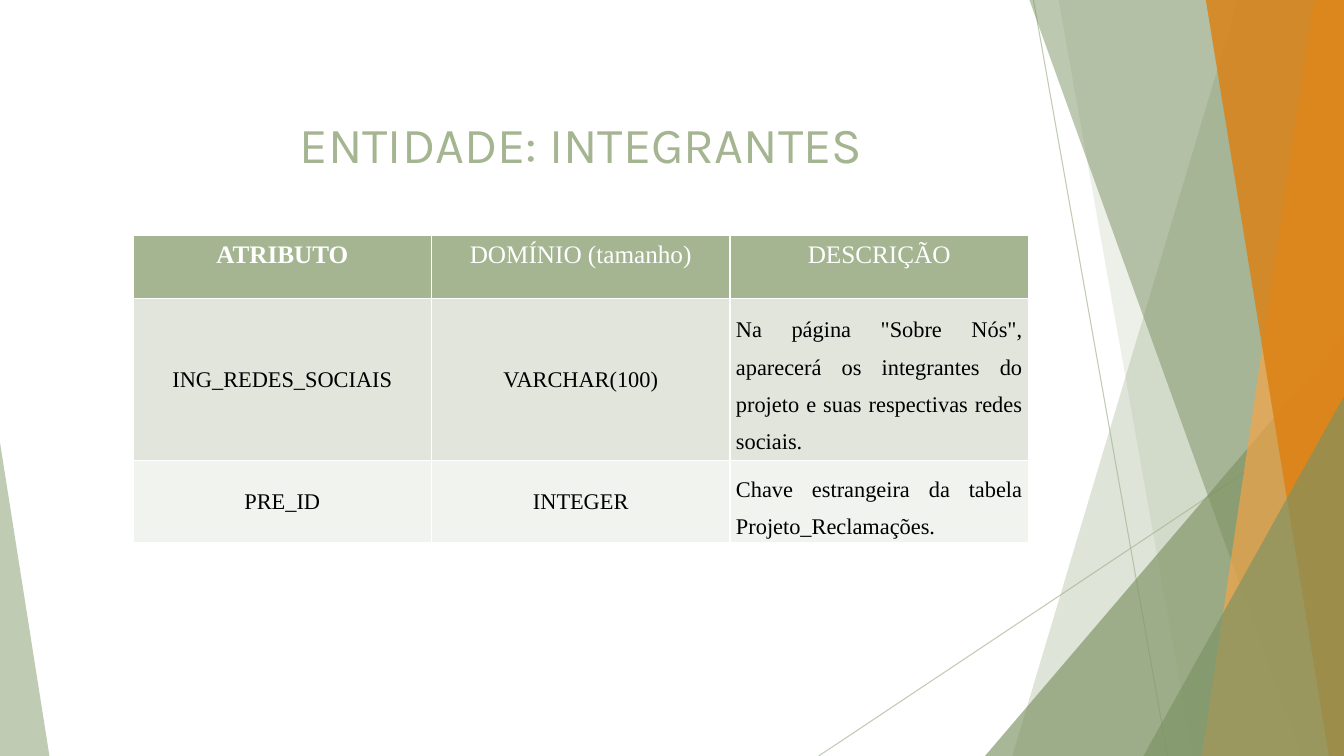
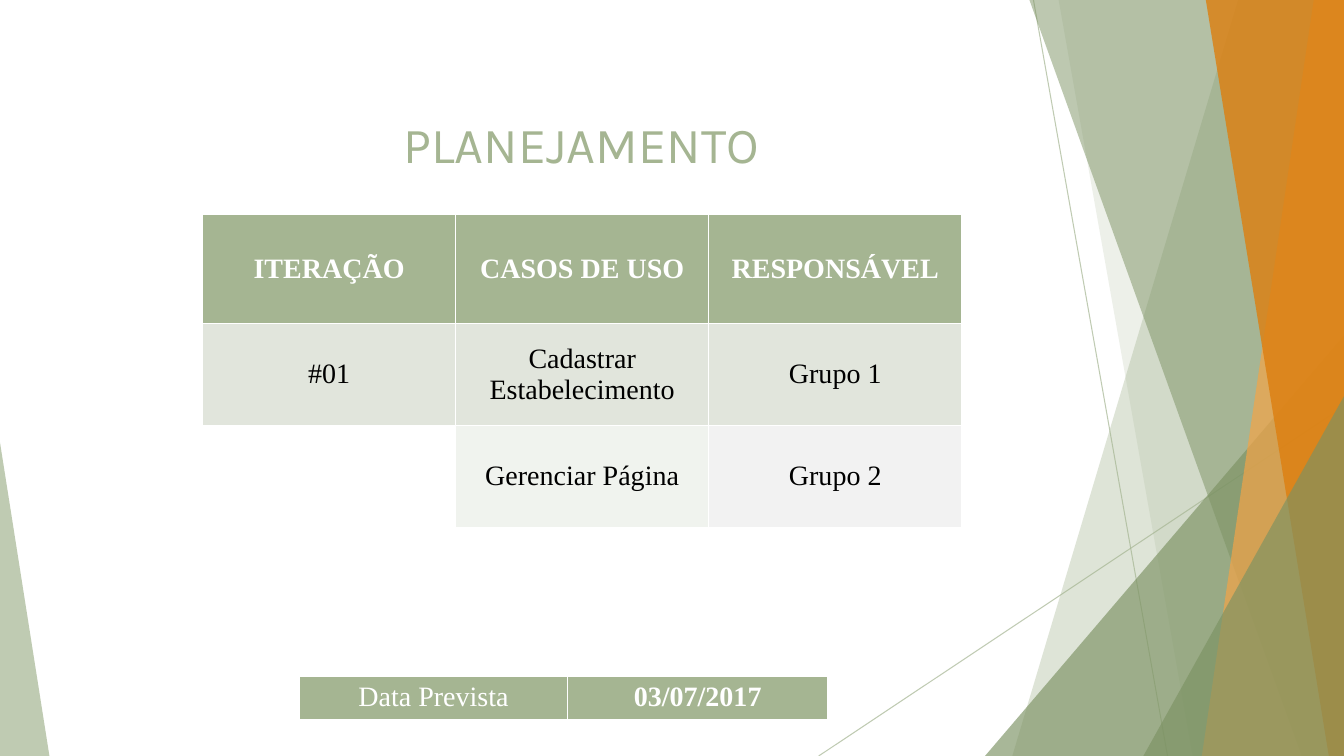
from lxml import etree
from pptx import Presentation
from pptx.dml.color import RGBColor
from pptx.enum.shapes import MSO_CONNECTOR, MSO_SHAPE
from pptx.enum.text import MSO_ANCHOR as Anchor, PP_ALIGN as Align
from pptx.oxml.ns import qn
from pptx.util import Inches, Pt

SAGE = RGBColor(0xA5, 0xB5, 0x92)
MOSS = RGBColor(0x7C, 0x92, 0x63)
AMBER = RGBColor(0xF3, 0xA4, 0x47)
ORANGE = RGBColor(0xDD, 0x7E, 0x0E)
WHITE = RGBColor(0xFF, 0xFF, 0xFF)
BLACK = RGBColor(0, 0, 0)
BAND_DARK = RGBColor(0xE1, 0xE5, 0xDC)
BAND_LIGHT = RGBColor(0xF0, 0xF3, 0xEE)
BAND_GRAY = RGBColor(0xF2, 0xF2, 0xF2)
TITLE_FONT = "Karla"
TABLE_FONT = "Times New Roman"
WIDTH, HEIGHT = 13.33, 7.5

# Background art: lines as x1, y1, x2, y2
LINES = [(10.25, 0, 11.58, HEIGHT), (WIDTH, 4.03, 8.12, HEIGHT)]
# Back to front. Bands run to the right edge: top x, bottom x.
# Triangles stand on the bottom edge: left, top, width, apex.
ART = [
    ("band", (12.28, 10.04), SAGE, 36),
    ("band", (10.5, 11.83), SAGE, 20),
    ("triangle", (9.77, 3.33, 3.56, 1), MOSS, 66),
    ("band", (10.21, 12.91), MOSS, 50),
    ("band", (13.03, 11.92), AMBER, 70),
    ("band", (11.96, 13.18), ORANGE, 80),
    ("triangle", (11.34, 3.93, 1.99, 1), MOSS, 66),
    ("triangle", (0, 4.39, 0.49, 0), SAGE, 70),
]

# Each cell: text, fill, text colour, size, bold, alignment, anchor
C, J, TOP, MIDDLE = Align.CENTER, Align.JUSTIFY, Anchor.TOP, Anchor.MIDDLE
EMPTY = ("", None, BLACK, 20, False, C, MIDDLE)
EMPTY_WHITE = ("", WHITE, BLACK, 20, False, C, MIDDLE)
# Tall cells cover two rows: row, column of the upper one
SLIDES = [
    ("ENTIDADE: INTEGRANTES", [
        dict(at=(1.32, 2.34), columns=[2.96] * 3, rows=[0.62, 1.61, 0.8],
             margins=(0.01, 0.06), tall=[], cells=[
            [("ATRIBUTO", SAGE, WHITE, 18, True, C, TOP),
             ("DOMÍNIO (tamanho)", SAGE, WHITE, 18, False, C, TOP),
             ("DESCRIÇÃO", SAGE, WHITE, 18, False, C, TOP)],
            [("ING_REDES_SOCIAIS", BAND_DARK, BLACK, 16, False, C, MIDDLE),
             ("VARCHAR(100)", BAND_DARK, BLACK, 16, False, C, MIDDLE),
             ('Na página "Sobre Nós", aparecerá os integrantes do projeto e suas '
              'respectivas redes sociais.', BAND_DARK, BLACK, 16, False, J, MIDDLE)],
            [("PRE_ID", BAND_LIGHT, BLACK, 16, False, C, MIDDLE),
             ("INTEGER", BAND_LIGHT, BLACK, 16, False, C, MIDDLE),
             ("Chave estrangeira da tabela Projeto_Reclamações.",
              BAND_LIGHT, BLACK, 16, False, J, MIDDLE)],
        ]),
    ]),
    ("PLANEJAMENTO", [
        dict(at=(2.01, 2.13), columns=[2.51] * 3, rows=[1.08, 1.01, 0.57, 0.44, 0.34, 0.22, 0.57],
             margins=None, tall=[(2, 1), (2, 2), (3, 0), (4, 1), (5, 0), (5, 2)], cells=[
            [(text, SAGE, WHITE, 20, True, C, MIDDLE)
             for text in ("ITERAÇÃO", "CASOS DE USO", "RESPONSÁVEL")],
            [(text, BAND_DARK, BLACK, 20, False, C, MIDDLE)
             for text in ("#01", "Cadastrar Estabelecimento", "Grupo 1")],
            [EMPTY_WHITE,
             ("Gerenciar Página", BAND_LIGHT, BLACK, 20, False, C, MIDDLE),
             ("Grupo 2", BAND_GRAY, BLACK, 20, False, C, MIDDLE)],
            [EMPTY_WHITE, EMPTY, EMPTY],
            [EMPTY] * 3,
            [EMPTY_WHITE, EMPTY, EMPTY],
            [EMPTY] * 3,
        ]),
        dict(at=(2.97, 6.71), columns=[2.66, 2.58], rows=[0.43], margins=None, tall=[], cells=[
            [("Data Prevista", SAGE, WHITE, 20, False, C, TOP),
             ("03/07/2017", SAGE, WHITE, 20, True, C, TOP)],
        ]),
    ]),
]


def set_alpha(shape, percent):
    for color in shape._element.spPr.iter(qn("a:srgbClr")):
        etree.SubElement(color, qn("a:alpha"), val=str(percent * 1000))


def add_run(paragraph, text, font_name, size, color, bold=False):
    run = paragraph.add_run()
    run.text = text
    run.font.name = font_name
    run.font.size = Pt(size)
    run.font.bold = bold
    run.font.color.rgb = color


presentation = Presentation()
presentation.slide_width = Inches(WIDTH)
presentation.slide_height = Inches(HEIGHT)

for title, tables in SLIDES:
    slide = presentation.slides.add_slide(presentation.slide_layouts[6])

    # Thin lines
    for ends in LINES:
        line = slide.shapes.add_connector(MSO_CONNECTOR.STRAIGHT, *map(Inches, ends))
        line.line.color.rgb = SAGE
        line.line.width = Pt(0.75)
        set_alpha(line, 70)
        etree.SubElement(line._element.spPr, qn("a:effectLst"))

    # Translucent bands and triangles
    for kind, place, color, alpha in ART:
        if kind == "band":
            top_x, bottom_x = place
            outline = slide.shapes.build_freeform(Inches(top_x), 0)
            corners = [(WIDTH, 0), (WIDTH, HEIGHT), (bottom_x, HEIGHT)]
            outline.add_line_segments([(Inches(x), Inches(y)) for x, y in corners])
            shape = outline.convert_to_shape()
        else:
            left, top, width, apex = place
            shape = slide.shapes.add_shape(MSO_SHAPE.ISOSCELES_TRIANGLE, Inches(left), Inches(top),
                                           Inches(width), Inches(HEIGHT - top))
            shape.adjustments[0] = apex
        shape.shadow.inherit = False
        shape.fill.solid()
        shape.fill.fore_color.rgb = color
        set_alpha(shape, alpha)
        shape.line.fill.background()

    # Title
    title_box = slide.shapes.add_textbox(Inches(0.45), Inches(1.07), Inches(10.63), Inches(0.71))
    frame = title_box.text_frame
    frame.word_wrap = True
    frame.vertical_anchor = MIDDLE
    paragraph = frame.paragraphs[0]
    paragraph.alignment = C
    add_run(paragraph, title, TITLE_FONT, 36, SAGE)

    # Tables
    for spec in tables:
        left, top = spec["at"]
        columns, rows = spec["columns"], spec["rows"]
        table = slide.shapes.add_table(len(rows), len(columns), Inches(left), Inches(top),
                                       Inches(sum(columns)), Inches(sum(rows))).table
        table.first_row = table.horz_banding = False
        for column, width in zip(table.columns, columns):
            column.width = Inches(width)
        for row_index, column_index in spec["tall"]:
            table.cell(row_index, column_index).merge(table.cell(row_index + 1, column_index))
        for row, height, cells in zip(table.rows, rows, spec["cells"]):
            row.height = Inches(height)
            for cell, (text, fill, color, size, bold, alignment, anchor) in zip(row.cells, cells):
                cell.vertical_anchor = anchor
                if spec["margins"] and anchor == MIDDLE:
                    narrow, wide = spec["margins"]
                    cell.margin_left = cell.margin_right = Inches(wide if alignment == J else narrow)
                    cell.margin_top, cell.margin_bottom = Inches(narrow), 0
                properties = cell._tc.get_or_add_tcPr()
                for side in ("a:lnL", "a:lnR", "a:lnT", "a:lnB"):
                    border = etree.SubElement(properties, qn(side), w=str(Pt(1)))
                    border_fill = etree.SubElement(border, qn("a:solidFill"))
                    etree.SubElement(border_fill, qn("a:srgbClr"), val=str(WHITE))
                if fill is None:
                    cell.fill.background()
                else:
                    cell.fill.solid()
                    cell.fill.fore_color.rgb = fill
                paragraph = cell.text_frame.paragraphs[0]
                if text:
                    paragraph.alignment = alignment
                    if alignment == J:
                        paragraph.line_spacing = 1.5
                    add_run(paragraph, text, TABLE_FONT, size, color, bold)
                else:
                    # Small type keeps an empty row from growing
                    cell.margin_top = cell.margin_bottom = 0
                    etree.SubElement(paragraph._p, qn("a:endParaRPr"), sz="800")

presentation.save("out.pptx")
